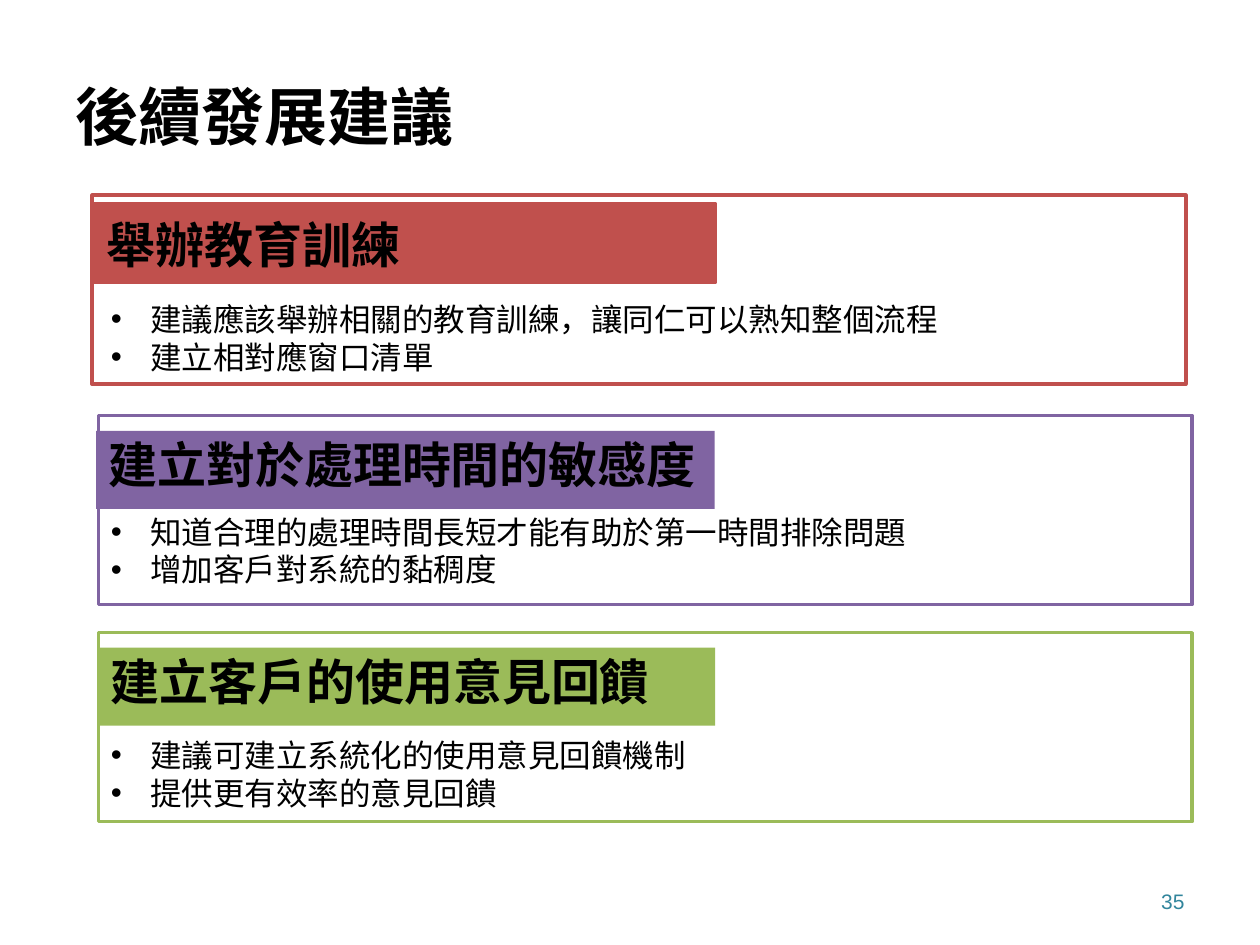
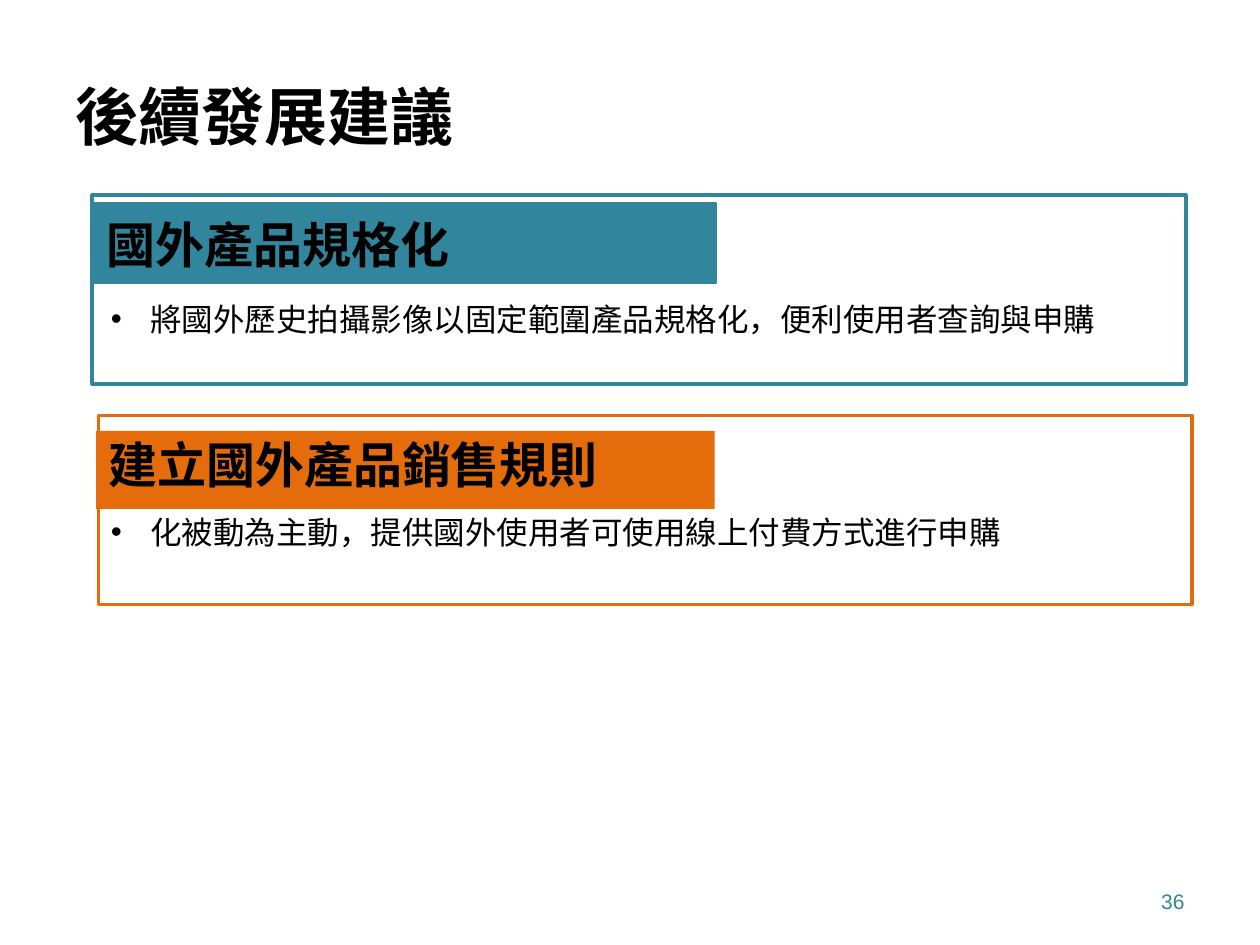
from lxml.etree import SubElement
from pptx import Presentation
from pptx.dml.color import RGBColor
from pptx.enum.shapes import MSO_SHAPE as SHAPE
from pptx.enum.text import MSO_ANCHOR as ANCHOR, MSO_AUTO_SIZE as AUTO, PP_ALIGN as ALIGN
from pptx.oxml.ns import qn
from pptx.util import Pt

FONT = "Arial"
BLACK, WHITE, TEAL = "000000", "FFFFFF", "31859C"
RED, PURPLE, GREEN, ORANGE = "C0504D", "8064A2", "9BBB59", "E46C0A"
TITLE = "後續發展建議"
FRAME_W, FRAME_H = 625, 108
BAND_H, HEAD_SIZE, INSET = 44.6, 28, 7.2

# Card slots from top to bottom: frame corner, then offsets from that corner
SLOTS = [
    dict(x=52.6, y=111.6, band=(1.4, 5, 355), head=(1.4, 7.2), items=(3.6, 56.2), outlined=True),
    dict(x=56.2, y=237.4, band=(-1.3, 8.8, 353.5), head=(-1.3, 7.4), items=(0, 52), outlined=False),
    dict(x=56.2, y=361.6, band=(0, 8.5, 352.5), head=(0, 7), items=(0, 55.3), outlined=False),
]

SLIDES = [
    (35, [
        (RED, "舉辦教育訓練",
         ["建議應該舉辦相關的教育訓練，讓同仁可以熟知整個流程", "建立相對應窗口清單"]),
        (PURPLE, "建立對於處理時間的敏感度",
         ["知道合理的處理時間長短才能有助於第一時間排除問題", "增加客戶對系統的黏稠度"]),
        (GREEN, "建立客戶的使用意見回饋",
         ["建議可建立系統化的使用意見回饋機制", "提供更有效率的意見回饋"]),
    ]),
    (36, [
        (TEAL, "國外產品規格化",
         ["將國外歷史拍攝影像以固定範圍產品規格化，便利使用者查詢與申購"]),
        (ORANGE, "建立國外產品銷售規則",
         ["化被動為主動，提供國外使用者可使用線上付費方式進行申購"]),
    ]),
]


def rgb(value):
    return RGBColor.from_string(value)


def add_bullet(p, indent=22.5):
    pPr = p._p.get_or_add_pPr()
    pPr.set("marL", str(Pt(indent)))
    pPr.set("indent", str(-Pt(indent)))
    SubElement(pPr, qn("a:buFont"), typeface=FONT)
    SubElement(pPr, qn("a:buChar"), char="•")


def write(tf, lines, size=18, color=BLACK, bold=False, align=ALIGN.LEFT,
          anchor=ANCHOR.TOP, wrap=True, bullets=False):
    tf.word_wrap, tf.auto_size, tf.vertical_anchor = wrap, AUTO.NONE, anchor
    for i, line in enumerate(lines):
        p = tf.add_paragraph() if i else tf.paragraphs[0]
        p.alignment = align
        if bullets:
            add_bullet(p)
        r = p.add_run()
        r.text = line
        r.font.name, r.font.size, r.font.bold = FONT, Pt(size), bold
        r.font.color.rgb = rgb(color)


def add_text(s, x, y, w, h, lines, **fmt):
    sp = s.shapes.add_textbox(Pt(x), Pt(y), Pt(w), Pt(h))
    write(sp.text_frame, lines, **fmt)


def add_rect(s, x, y, w, h, fill, line=None, alpha=None):
    sp = s.shapes.add_shape(SHAPE.RECTANGLE, Pt(x), Pt(y), Pt(w), Pt(h))
    sp.shadow.inherit = False
    sp.fill.solid()
    sp.fill.fore_color.rgb = rgb(fill)
    if alpha:
        clr = sp._element.spPr.find(qn("a:solidFill")).find(qn("a:srgbClr"))
        SubElement(clr, qn("a:alpha"), val=str(alpha * 1000))
    if line:
        sp.line.color.rgb = rgb(line)
        sp.line.width = Pt(2)
    else:
        sp.line.fill.background()


def add_card(s, slot, color, heading, items):
    x, y = slot["x"], slot["y"]
    # Frame
    add_rect(s, x, y, FRAME_W, FRAME_H, WHITE, line=color, alpha=90)
    # Heading band
    dx, dy, w = slot["band"]
    add_rect(s, x + dx, y + dy, w, BAND_H, color, line=color if slot["outlined"] else None)
    dx, dy = slot["head"]
    add_text(s, x + dx, y + dy, len(heading) * HEAD_SIZE + 2 * INSET, 41, [heading],
             size=HEAD_SIZE, bold=True, wrap=False)
    # Bulleted list
    dx, dy = slot["items"]
    add_text(s, x + dx, y + dy, 588, 7 + 22 * len(items), items, bullets=True)


def add_slide(prs, number, cards):
    s = prs.slides.add_slide(prs.slide_layouts[5])
    # Title
    title = s.shapes.title
    title.left, title.top, title.width, title.height = Pt(36), Pt(37.5), Pt(648), Pt(57)
    write(title.text_frame, [TITLE], size=36, bold=True, anchor=ANCHOR.MIDDLE)
    # Cards
    for slot, card in zip(SLOTS, cards):
        add_card(s, slot, *card)
    # Page number
    add_text(s, 516, 500.5, 168, 28.8, [str(number)], size=12, color=TEAL,
             align=ALIGN.RIGHT, anchor=ANCHOR.MIDDLE)


def main():
    prs = Presentation()
    prs.slide_width, prs.slide_height = Pt(720), Pt(540)
    for number, cards in SLIDES:
        add_slide(prs, number, cards)
    prs.save("out.pptx")


if __name__ == "__main__":
    main()
